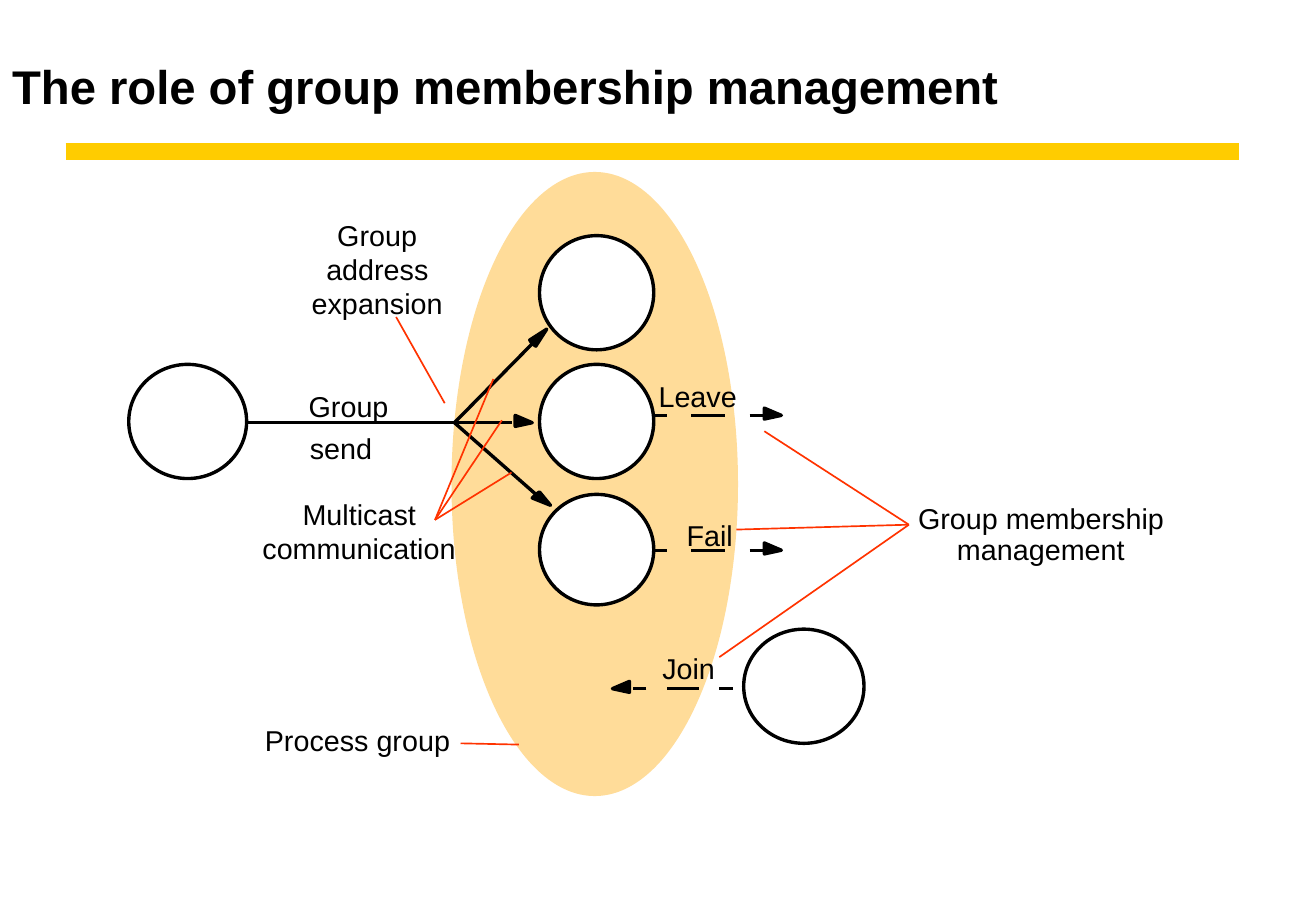
from lxml import etree
from pptx import Presentation
from pptx.dml.color import RGBColor
from pptx.enum.shapes import MSO_CONNECTOR, MSO_SHAPE
from pptx.enum.text import MSO_ANCHOR, MSO_AUTO_SIZE, PP_ALIGN
from pptx.oxml.ns import qn
from pptx.util import Inches, Pt

STRAIGHT = MSO_CONNECTOR.STRAIGHT
OVAL = MSO_SHAPE.OVAL
BOTTOM, LEFT = MSO_ANCHOR.BOTTOM, PP_ALIGN.LEFT
FIXED, GROW = MSO_AUTO_SIZE.NONE, MSO_AUTO_SIZE.SHAPE_TO_FIT_TEXT

BLACK = RGBColor(0x00, 0x00, 0x00)
WHITE = RGBColor(0xFF, 0xFF, 0xFF)
GOLD = RGBColor(0xFF, 0xCC, 0x00)
PEACH = RGBColor(0xFF, 0xDC, 0x99)
RED = RGBColor(0xFF, 0x33, 0x00)

FONT = "Arial"
LABEL_HEIGHT = 0.26
# Corners of a rightward arrowhead, measured from the middle of its base.
HEAD = [(0, 0), (0, -0.06), (0.14, 0), (0, 0.03)]


def set_font(para, size, bold=False):
    for span in para.runs:
        span.font.name = FONT
        span.font.size = Pt(size)
        span.font.bold = bold
        span.font.color.rgb = BLACK


def add_line(page, start, end, color=BLACK, width=2):
    line = page.shapes.add_connector(
        STRAIGHT, *[Inches(value) for value in (*start, *end)])
    line.line.color.rgb = color
    line.line.width = Pt(width)
    etree.SubElement(line._element.spPr, qn("a:effectLst"))


def add_pointers(page, x, y, *offsets):
    """Draw red lines from x, y to each point at the given offset from it."""
    for dx, dy in offsets:
        add_line(page, (x, y), (x + dx, y + dy), RED, 1)


def paint(shape, fill, outline):
    shape.shadow.inherit = False
    shape.fill.solid()
    shape.fill.fore_color.rgb = fill
    shape.line.color.rgb = outline
    shape.line.width = Pt(2)


def add_ellipse(page, box, fill=WHITE, outline=BLACK):
    ellipse = page.shapes.add_shape(OVAL, *[Inches(value) for value in box])
    paint(ellipse, fill, outline)


def add_head(page, corners):
    points = [(Inches(x), Inches(y)) for x, y in corners]
    builder = page.shapes.build_freeform(*points[0])
    builder.add_line_segments(points[1:], close=True)
    paint(builder.convert_to_shape(), BLACK, BLACK)


def add_flat_head(page, x, y, direction=1):
    """Point right for direction 1 and left for -1, with the base at x, y."""
    add_head(page, [(x + direction * dx, y + dy) for dx, dy in HEAD])


def add_dashed_arrow(page, x, y, dashes, head, direction=1):
    """Draw dashes and a head at the given distances from x."""
    for near, far in dashes:
        add_line(page, (x + direction * near, y), (x + direction * far, y))
    add_flat_head(page, x + direction * head, y, direction)


def add_label(page, text, left, top, width):
    box = page.shapes.add_textbox(
        *[Inches(value) for value in (left, top, width, LABEL_HEIGHT)])
    frame = box.text_frame
    frame.margin_left = frame.margin_right = 0
    frame.margin_top = frame.margin_bottom = 0
    frame.word_wrap = False
    frame.auto_size = GROW
    frame.text = text
    set_font(frame.paragraphs[0], 17)


def add_centred_labels(page, centre, top, pitch, lines):
    """Stack lines, each a text and its width, around one centre."""
    for row, (text, width) in enumerate(lines):
        add_label(page, text, centre - width / 2, top + row * pitch, width)


def add_heading(page, text, left, top, width, height):
    title = page.shapes.title
    title.left, title.top = Inches(left), Inches(top)
    title.width, title.height = Inches(width), Inches(height)
    frame = title.text_frame
    frame.text = text
    frame.auto_size = FIXED
    frame.vertical_anchor = BOTTOM
    frame.margin_left, frame.margin_right = Inches(0.1), Inches(0.14)
    frame.margin_top = frame.margin_bottom = Inches(0.06)
    para = frame.paragraphs[0]
    para.alignment = LEFT
    set_font(para, 28, bold=True)
    rule_y = top + height + 0.25
    add_line(page, (left + 0.54, rule_y), (left + 10.2, rule_y), GOLD, 10)


def add_process_group(page, left, top, width, height):
    add_ellipse(page, (left, top, width, height), PEACH, PEACH)
    for offset, size in ((0.51, 0.94), (1.57, 0.94), (2.64, 0.91)):
        add_ellipse(page, (left + 0.71, top + offset, 0.94, size))
    add_label(page, "Process group", left - 1.55, top + 4.52, 1.53)
    add_pointers(page, left + 0.06, top + 4.69, (0.48, 0.01))


def add_multicast(page, left, axis):
    """Draw the sender and its arrows, which fan out along the axis height."""
    fork = left + 2.68
    add_line(page, (left + 0.94, axis), (left + 3.15, axis))
    add_flat_head(page, left + 3.18, axis)
    add_ellipse(page, (left, axis - 0.48, 0.97, 0.94))
    add_line(page, (fork, axis), (fork + 0.64, axis - 0.65))
    add_line(page, (fork, axis), (fork + 0.67, axis + 0.59))
    diagonal_heads = (
        [(0.64, -0.65), (0.62, -0.68), (0.76, -0.77), (0.67, -0.63)],
        [(0.67, 0.59), (0.7, 0.57), (0.79, 0.68), (0.64, 0.62)],
    )
    for corners in diagonal_heads:
        add_head(page, [(fork + dx, axis + dy) for dx, dy in corners])

    add_centred_labels(
        page, left + 2.05, axis - 1.69, 0.28,
        [("Group", 0.67), ("address", 0.85), ("expansion", 1.09)])
    add_pointers(page, left + 2.2, axis - 0.87, (0.4, 0.71))
    add_label(page, "Group", left + 1.48, axis - 0.28, 0.67)
    add_label(page, "send", left + 1.49, axis + 0.07, 0.52)
    add_centred_labels(
        page, left + 1.9, axis + 0.61, 0.28,
        [("Multicast", 0.94), ("communication", 1.6)])
    add_pointers(page, left + 2.52, axis + 0.8,
                 (0.48, -1.16), (0.55, -0.82), (0.63, -0.39))


def add_membership_changes(page, left, top):
    """Draw the leave, fail and join arrows and the note that names them."""
    outward = [(0, 0.11), (0.31, 0.59), (0.79, 0.91)]
    inward = [(0, 0.11), (0.28, 0.54), (0.71, 0.82)]
    for y in (top, top + 1.11):
        add_dashed_arrow(page, left, y, outward, 0.91)
    add_ellipse(page, (left + 0.74, top + 1.76, 0.99, 0.94))
    add_dashed_arrow(page, left + 0.65, top + 2.25, inward, 0.85, -1)

    add_label(page, "Leave", left + 0.04, top - 0.3, 0.66)
    add_label(page, "Fail", left + 0.27, top + 0.84, 0.39)
    add_label(page, "Join", left + 0.07, top + 1.94, 0.45)
    add_centred_labels(
        page, left + 3.19, top + 0.7, LABEL_HEIGHT,
        [("Group membership", 2.03), ("management", 1.39)])
    add_pointers(page, left + 2.1, top + 0.9,
                 (-1.19, -0.77), (-1.42, 0.04), (-1.56, 1.09))


def main():
    deck = Presentation()
    deck.slide_width, deck.slide_height = Inches(10.83), Inches(7.5)
    page = deck.slides.add_slide(deck.slide_layouts[5])
    add_heading(page, "The role of group membership management", 0, 0, 10.83, 1)
    add_process_group(page, 3.73, 1.43, 2.33, 5.11)
    add_multicast(page, 1.06, 3.48)
    add_membership_changes(page, 5.38, 3.42)
    deck.save("out.pptx")


if __name__ == "__main__":
    main()
